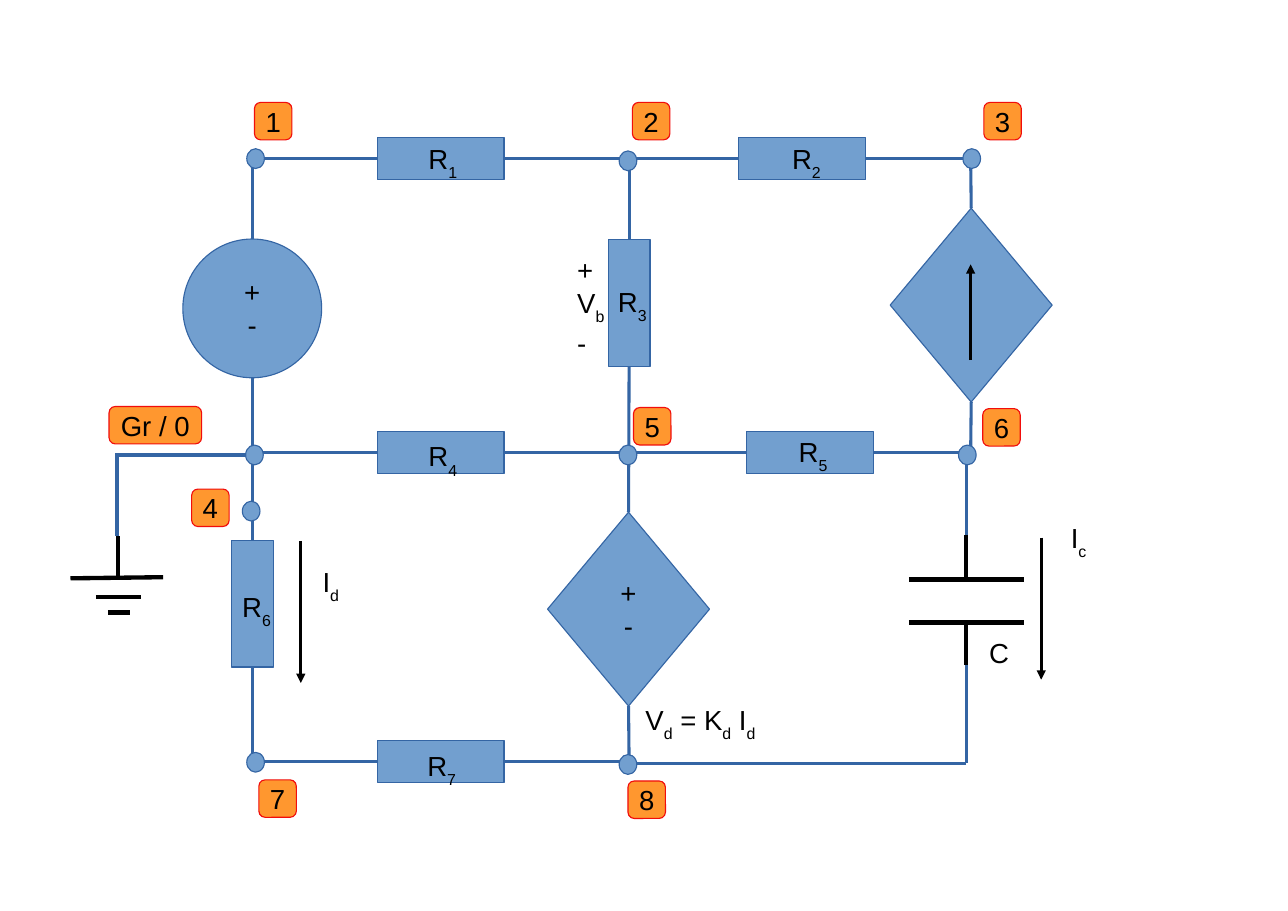
from lxml import etree
from pptx import Presentation, util as u
from pptx.dml.color import RGBColor
from pptx.enum import shapes, text
from pptx.oxml.ns import qn

BLUE = RGBColor(0x72, 0x9F, 0xCF)
DARK_BLUE = RGBColor(0x34, 0x65, 0xA4)
ORANGE = RGBColor(0xFF, 0x97, 0x2F)
RED = RGBColor(0xF1, 0x0D, 0x0C)
BLACK = RGBColor(0, 0, 0)
HAIR, THICK = 0, 2.83
KIND = shapes.MSO_SHAPE

# Every position and size below counts cells of a square grid.
CELL = u.Inches(0.1)
COLS, ROWS = 116.9, 82.7
LEFT, MIDDLE, RIGHT, CAP = 22.9, 57.1, 88.1, 87.7
TOP, CENTRE, BOTTOM = 14.4, 41.1, 69.1

prs = Presentation()
prs.slide_width, prs.slide_height = round(COLS * CELL), round(ROWS * CELL)
s = prs.slides.add_slide(prs.slide_layouts[6])


def add_block(kind, x, y, w, h, words="", fill=BLUE, edge=DARK_BLUE):
    """Shape, or text box when kind is None; text between underscores is subscript."""
    frame = [round(v * CELL) for v in (x, y, w, h)]
    if kind is None:
        sp = s.shapes.add_textbox(*frame)
    else:
        sp = s.shapes.add_shape(kind, *frame)
        sp.shadow.inherit = False
        sp.fill.solid()
        sp.fill.fore_color.rgb = fill
        sp.line.color.rgb = edge
        sp.line.width = HAIR
    tf = sp.text_frame
    tf.word_wrap = kind is None
    for i, row in enumerate(words.split("\n") if words else []):
        p = tf.add_paragraph() if i else tf.paragraphs[0]
        p.alignment = text.PP_ALIGN.LEFT if kind is None else text.PP_ALIGN.CENTER
        for j, part in enumerate(row.split("_")):
            if part:
                r = p.add_run()
                r.text = part
                for name, value in {"size": u.Pt(18), "name": "Arial"}.items():
                    setattr(r.font, name, value)
                r.font.color.rgb = BLACK
                if j % 2:
                    r.font._element.set("baseline", "-33000")
    return sp


def add_line(start, end, color=DARK_BLUE, width=HAIR, arrow=False):
    """Each end is a grid point, or a shape with the number of its side."""
    points = [(0, 0) if hasattr(e[0], "shape_id") else e for e in (start, end)]
    c = s.shapes.add_connector(
        shapes.MSO_CONNECTOR.STRAIGHT, *[round(v * CELL) for pt in points for v in pt])
    for e, join in ((start, c.begin_connect), (end, c.end_connect)):
        if hasattr(e[0], "shape_id"):
            join(*e)
    c.line.color.rgb = color
    c.line.width = u.Pt(width)
    if arrow:
        etree.SubElement(c.line._get_or_add_ln(), qn("a:tailEnd"), type="triangle")
    etree.SubElement(c._element.spPr, qn("a:effectLst"))


# Resistors, by centre
LONG, SHORT = 11.5, 3.8
resistors = {}
for number, cx, cy, upright in [
    (1, 40, TOP, False), (2, 72.8, TOP, False), (3, MIDDLE, 27.5, True),
    (4, 40, CENTRE, False), (5, 73.5, CENTRE, False),
    (6, LEFT, 54.8, True), (7, 40, BOTTOM, False),
]:
    w, h = (SHORT, LONG) if upright else (LONG, SHORT)
    resistors[number] = add_block(KIND.RECTANGLE, cx - w / 2, cy - h / 2, w, h)
r1, r2, r3, r4, r5, r6, r7 = resistors.values()

# Sources
add_block(KIND.OVAL, 16.6, 21.7, 12.6, 12.6, "+\n-")
current_source = add_block(KIND.DIAMOND, 80.8, 18.9, 14.7, 17.6)
voltage_source = add_block(KIND.DIAMOND, 49.7, 46.5, 14.7, 17.6, "+\n-")

# Wires
for start, end in [
    ((LEFT, TOP), (r1, 1)),
    ((r1, 3), (r2, 1)),
    ((r2, 3), (RIGHT, TOP)),
    ((LEFT, TOP), (LEFT, 21.7)),
    ((MIDDLE, TOP), (r3, 0)),
    ((RIGHT, TOP), (current_source, 0)),
    ((LEFT, 34.3), (r6, 0)),
    ((r3, 2), (voltage_source, 0)),
    ((current_source, 2), (RIGHT, CENTRE)),
    ((LEFT, CENTRE), (r4, 1)),
    ((r4, 3), (r5, 1)),
    ((r5, 3), (CAP, CENTRE)),
    ((r6, 2), (LEFT, BOTTOM)),
    ((voltage_source, 2), (MIDDLE, BOTTOM)),
    ((LEFT, BOTTOM), (r7, 1)),
    ((r7, 3), (MIDDLE, BOTTOM)),
    ((CAP, CENTRE), (CAP, 48.6)),
    ((CAP, 60.4), (CAP, 69.3)),
    ((CAP, 69.3), (MIDDLE, 69.3)),
]:
    add_line(start, end)

# Current arrows
for x, tail, tip in [(RIGHT, 32.7, 24), (27.3, 49.1, 62), (94.5, 48.8, 61.7)]:
    add_line((x, tail), (x, tip), BLACK, arrow=True)

# Ground lead, ground symbol and capacitor
for start, end in [((22.4, 41.3), (10.46, 41.3)), ((10.6, 41.3), (10.6, 48.7))]:
    add_line(start, end, width=THICK)
for x1, y1, x2, y2 in [
    (10.7, 48.7, 10.7, 52.4), (6.4, 52.5, 14.8, 52.4),
    (8.7, 54.2, 12.8, 54.2), (9.8, 55.6, 11.8, 55.6),
    (CAP, 48.6, CAP, 52.6), (82.5, 52.6, 92.9, 52.6),
    (82.5, 56.5, 92.9, 56.5), (CAP, 56.5, CAP, 60.4),
]:
    add_line((x1, y1), (x2, y2), BLACK, THICK)

# Nodes
for x, y in [
    (22.4, 13.5), (56.2, 13.7), (87.4, 13.5), (22.3, 40.4), (56.2, 40.4),
    (87, 40.4), (22, 45.5), (22.4, 68.3), (56.2, 68.5),
]:
    add_block(KIND.OVAL, x, y, 1.6, 1.8)

# Node numbers
for name, x, y, w in [
    ("1", 23.1, 9.3, 3.4), ("2", 57.4, 9.3, 3.4), ("3", 89.3, 9.3, 3.4),
    ("Gr / 0", 9.9, 36.9, 8.4), ("4", 17.4, 44.4, 3.4), ("5", 57.5, 37, 3.4),
    ("6", 89.2, 37.1, 3.4), ("7", 23.5, 70.8, 3.4), ("8", 57, 70.9, 3.4),
]:
    add_block(KIND.ROUNDED_RECTANGLE, x, y, w, 3.4, name, ORANGE, RED)

# Component labels
for words, x, y, w, h in [
    ("R_1", 37.9, 12.4, 5.5, 4.4), ("R_2", 70.9, 12.4, 5.9, 4.4),
    ("R_3", 55.1, 25.4, 5.5, 4.6), ("R_4", 37.9, 39.4, 5.5, 4.4),
    ("R_5", 71.5, 39, 5.5, 4.5), ("R_6", 21, 53.1, 8, 7.6),
    ("R_7", 37.8, 67.5, 5.5, 4.4), ("+\nV_b\n-", 51.4, 22.5, 5, 10),
    ("I_d", 28.3, 50.8, 12.6, 12.5), ("I_c", 96.2, 46.8, 14.8, 7.6),
    ("C", 88.8, 57.2, 4.9, 4.2), ("V_d_ = K_d_ I_d", 57.6, 63.3, 22, 7.6),
]:
    add_block(None, x, y, w, h, words)

prs.save("out.pptx")
